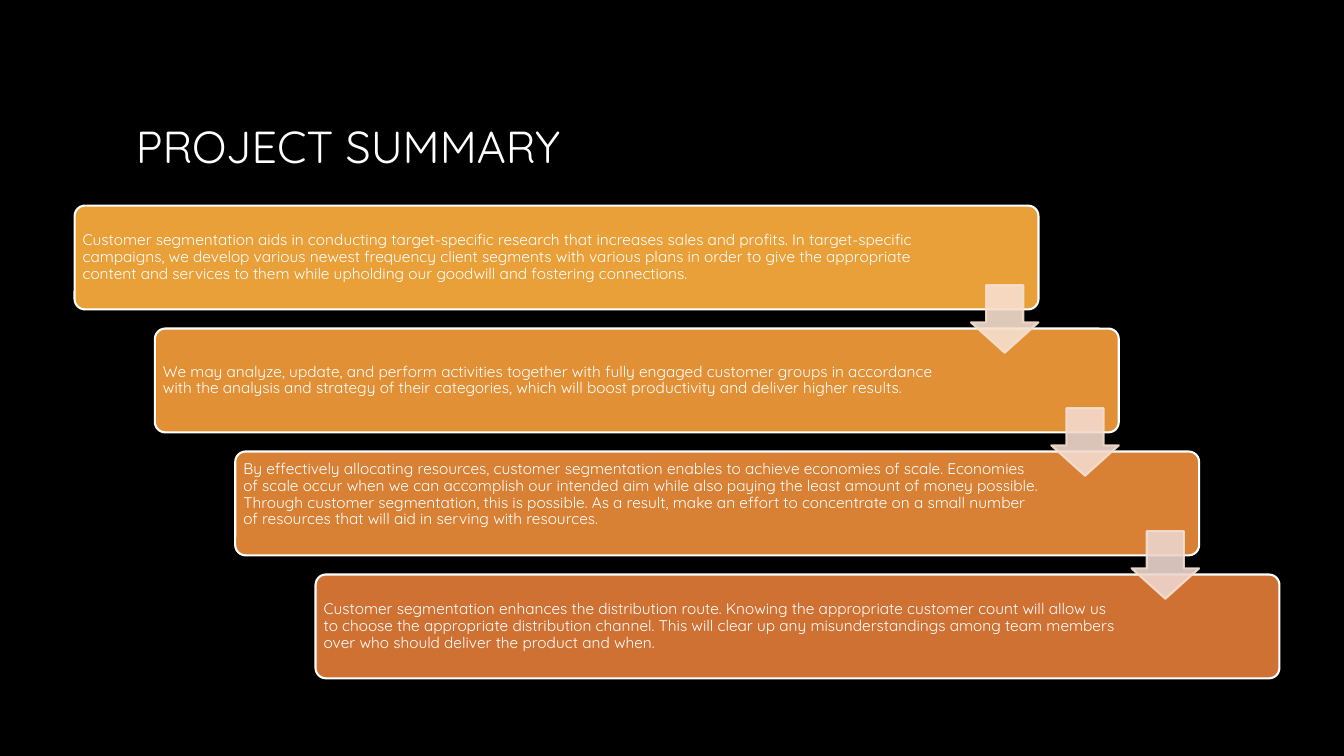
from lxml import etree
from pptx import Presentation
from pptx.dml.color import RGBColor
from pptx.enum import shapes, text
from pptx.oxml import ns
from pptx.util import Inches, Pt

FONT = "Quicksand"
BLACK = RGBColor(0x00, 0x00, 0x00)
WHITE = RGBColor(0xFF, 0xFF, 0xFF)
ARROW_LINE = RGBColor(0xF7, 0xDF, 0xCE)
STEP_FILLS = [
    RGBColor(0xE9, 0xA0, 0x39),
    RGBColor(0xE1, 0x90, 0x36),
    RGBColor(0xD8, 0x80, 0x34),
    RGBColor(0xCF, 0x71, 0x33),
]
ARROW_FILLS = [
    RGBColor(0xF7, 0xDF, 0xCE),
    RGBColor(0xF2, 0xDA, 0xCE),
    RGBColor(0xED, 0xD5, 0xCE),
]
STEP_TEXTS = [
    "Customer segmentation aids in conducting target-specific research that increases sales and profits. "
    "In target-specific campaigns, we develop various newest frequency client segments with various plans "
    "in order to give the appropriate content and services to them while upholding our goodwill and "
    "fostering connections.",
    "We may analyze, update, and perform activities together with fully engaged customer groups in "
    "accordance with the analysis and strategy of their categories, which will boost productivity and "
    "deliver higher results.",
    "By effectively allocating resources, customer segmentation enables to achieve economies of scale. "
    "Economies of scale occur when we can accomplish our intended aim while also paying the least amount "
    "of money possible. Through customer segmentation, this is possible. As a result, make an effort to "
    "concentrate on a small number of resources that will aid in serving with resources.",
    "Customer segmentation enhances the distribution route. Knowing the appropriate customer count will "
    "allow us to choose the appropriate distribution channel. This will clear up any misunderstandings "
    "among team members over who should deliver the product and when.",
]
TEXT_WIDTHS = [8.36, 8.03, 8.04, 8.03]
BOTTOM_INSETS = [0.05, 0.05, 0.22, 0.05]
STEP_WIDTH, STEP_HEIGHT = 9.56, 1.03
ARROW_SIZE = 0.67


def add_shape(page, kind, left, top, width, height, fill, line, adjustments):
    shape = page.shapes.add_shape(kind, Inches(left), Inches(top), Inches(width), Inches(height))
    shape.shadow.inherit = False
    for index, value in enumerate(adjustments):
        shape.adjustments[index] = value
    shape.fill.solid()
    shape.fill.fore_color.rgb = fill
    shape.line.color.rgb = line
    shape.line.width = Pt(1.5)
    return shape


def add_text(page, left, top, width, height, words, size):
    box = page.shapes.add_textbox(Inches(left), Inches(top), Inches(width), Inches(height))
    frame = box.text_frame
    frame.word_wrap = True
    frame.vertical_anchor = text.MSO_ANCHOR.MIDDLE
    para = frame.paragraphs[0]
    para.text = words
    para.line_spacing = 0.9
    para.font.name = FONT
    para.font.size = Pt(size)
    para.font.color.rgb = WHITE
    return frame


def add_step(page, left, top, words, text_width, bottom_inset, fill):
    add_shape(page, shapes.MSO_SHAPE.ROUNDED_RECTANGLE, left, top,
              STEP_WIDTH, STEP_HEIGHT, fill, WHITE, [0.1])
    frame = add_text(page, left + 0.03, top + 0.03, text_width, STEP_HEIGHT - 0.06, words, 11)
    frame.margin_left = frame.margin_right = frame.margin_top = Inches(0.05)
    frame.margin_bottom = Inches(bottom_inset)


def add_arrow(page, left, top, fill):
    arrow = add_shape(page, shapes.MSO_SHAPE.DOWN_ARROW, left, top,
                      ARROW_SIZE, ARROW_SIZE, fill, ARROW_LINE, [0.55, 0.45])
    for color in arrow.element.spPr.iter(ns.qn("a:srgbClr")):
        etree.SubElement(color, ns.qn("a:alpha"), val="90000")


def add_staircase(page, left, top, width, height):
    last = len(STEP_TEXTS) - 1
    across = (width - STEP_WIDTH) / last
    down = (height - STEP_HEIGHT) / last
    corners = [(left + i * across, top + i * down) for i in range(last + 1)]
    for corner, *step in zip(corners, STEP_TEXTS, TEXT_WIDTHS, BOTTOM_INSETS, STEP_FILLS):
        add_step(page, *corner, *step)
    for (step_left, step_top), fill in zip(corners, ARROW_FILLS):
        add_arrow(page, step_left + STEP_WIDTH - ARROW_SIZE, step_top + 0.79, fill)


def main():
    deck = Presentation()
    deck.slide_width, deck.slide_height = Inches(13.33), Inches(7.5)
    page = deck.slides.add_slide(deck.slide_layouts[6])
    page.background.fill.solid()
    page.background.fill.fore_color.rgb = BLACK
    add_text(page, 1.25, 0.67, 10.83, 1.61, "PROJECT SUMMARY", 32)
    add_staircase(page, 0.74, 2.04, 11.95, 4.69)
    deck.save("out.pptx")


if __name__ == "__main__":
    main()
